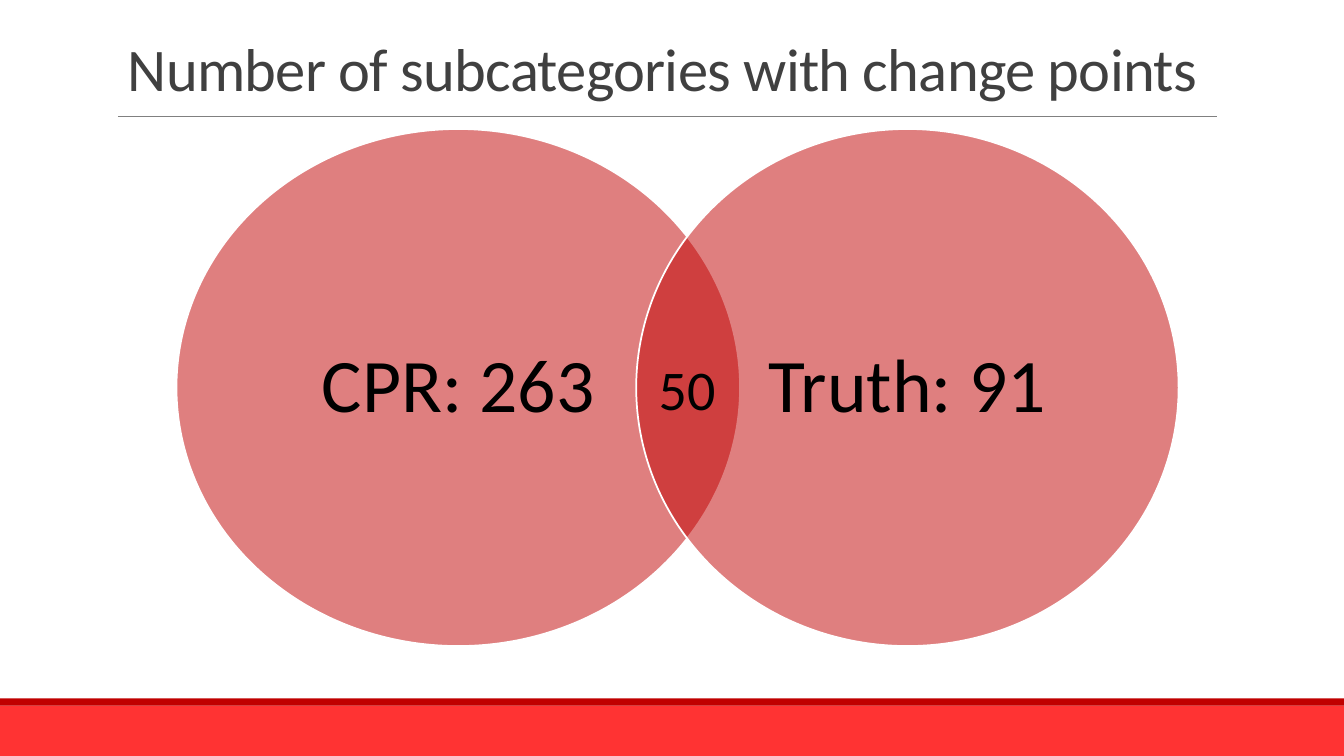
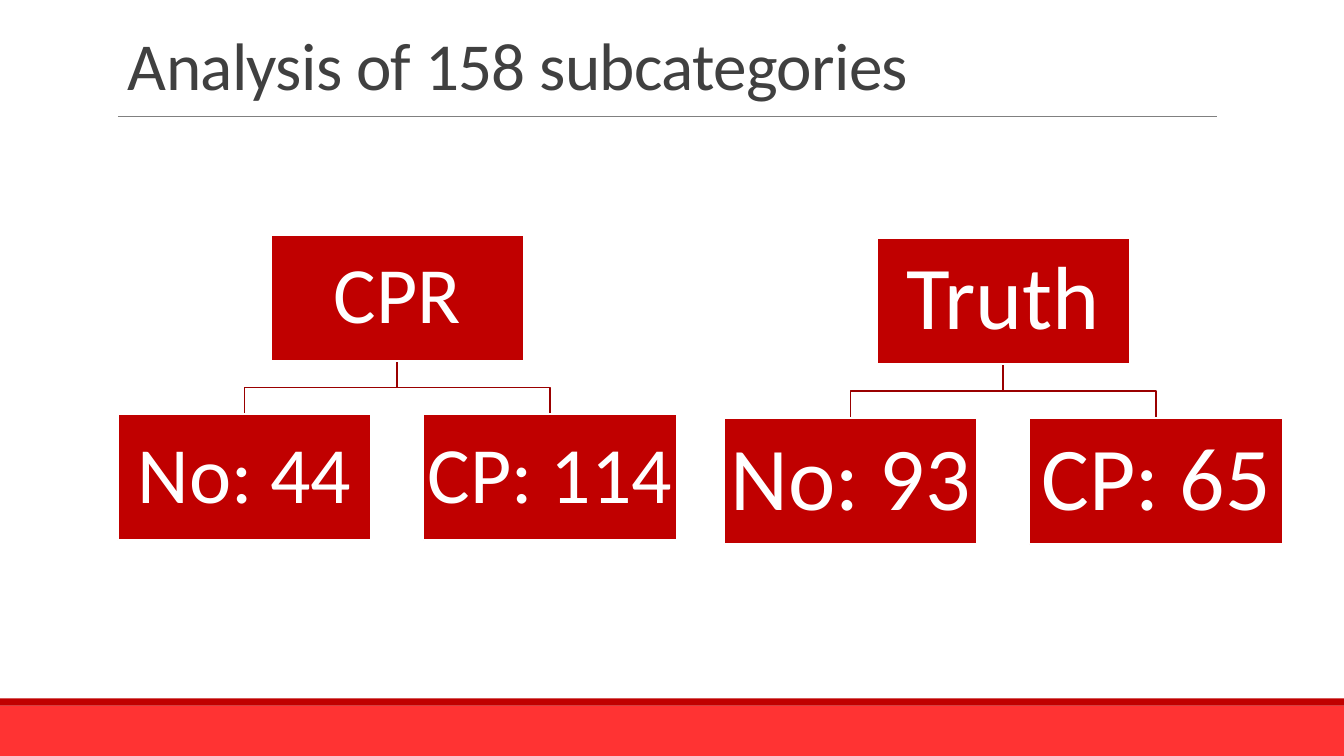
import pptx
import pptx.util
import pptx.dml.color
import pptx.enum.shapes
import pptx.enum.text
import pptx.oxml.ns
import lxml.etree

Inches = pptx.util.Inches
Pt = pptx.util.Pt
SHAPE = pptx.enum.shapes.MSO_SHAPE
ALIGN = pptx.enum.text.PP_ALIGN
ANCHOR = pptx.enum.text.MSO_ANCHOR
qn = pptx.oxml.ns.qn

FONT = "Calibri"
COLORS = {
    "red": "C00000",
    "bright": "FF3333",
    "branch": "9A0000",
    "rule": "808080",
    "title": "404040",
    "black": "000000",
    "white": "FFFFFF",
}
SLIDE_W, SLIDE_H = 13.33, 7.5
MARGIN, CONTENT_W = 1.17, 10.9


def rgb(name):
    """Return the named palette colour."""
    return pptx.dml.color.RGBColor.from_string(COLORS[name])


def set_line(s, color, width):
    """Give a shape or connector a solid line."""
    s.line.color.rgb = rgb(color)
    s.line.width = Pt(width)


def write(s, text, size, color, align=ALIGN.CENTER, anchor=ANCHOR.MIDDLE,
          insets=(0.1, 0.05), spacing=0.9, wrap=True):
    """Write one styled run into a shape and return the run."""
    tf = s.text_frame
    tf.word_wrap = wrap
    tf.vertical_anchor = anchor
    tf.margin_left = tf.margin_right = Inches(insets[0])
    tf.margin_top = tf.margin_bottom = Inches(insets[1])
    p = tf.paragraphs[0]
    p.alignment = align
    p.line_spacing = spacing
    r = p.add_run()
    r.text = text
    r.font.name = FONT
    r.font.size = Pt(size)
    r.font.color.rgb = rgb(color)
    return r


def add_block(s, kind, box, fill, outline=None, alpha=None):
    """Add a filled preset shape, optionally outlined or translucent."""
    sp = s.shapes.add_shape(kind, *map(Inches, box))
    sp.shadow.inherit = False
    sp.fill.solid()
    sp.fill.fore_color.rgb = rgb(fill)
    if outline:
        set_line(sp, outline, 1.25)
    else:
        sp.line.fill.background()
    if alpha is not None:
        clr = sp._element.spPr.find(qn("a:solidFill"))[0]
        lxml.etree.SubElement(clr, qn("a:alpha")).set("val", str(alpha * 1000))
    return sp


def add_base(prs, title, size):
    """Add a slide with its bottom bands, title and title rule."""
    s = prs.slides.add_slide(prs.slide_layouts[6])
    add_block(s, SHAPE.RECTANGLE, (0, 7, SLIDE_W, 0.5), "bright")
    add_block(s, SHAPE.RECTANGLE, (0, 6.93, SLIDE_W, 0.07), "red")
    rule = s.shapes.add_connector(
        pptx.enum.shapes.MSO_CONNECTOR.STRAIGHT,
        *map(Inches, (MARGIN, 1.15, MARGIN + CONTENT_W, 1.15)))
    set_line(rule, "rule", 0.5)
    lxml.etree.SubElement(rule._element.spPr, qn("a:effectLst"))
    tb = s.shapes.add_textbox(*map(Inches, (MARGIN, 0.06, CONTENT_W, 1.02)))
    r = write(tb, title, size, "title", ALIGN.LEFT, ANCHOR.BOTTOM, spacing=0.85)
    r._r.get_or_add_rPr().set("spc", "-50")
    return s


def add_venn(s, box, circles, shared):
    """Draw two overlapping sets filling the box and label the overlap."""
    left, top, width, height = box
    (left_text, left_w), (right_text, right_w) = circles
    right_x = left + width - right_w
    for text, x, w in ((left_text, left, left_w), (right_text, right_x, right_w)):
        sp = add_block(s, SHAPE.OVAL, (x, top, w, height), "red", "white", 50)
        write(sp, text, 54, "black", insets=(0.28, 0.07))
    label_w, label_h = 0.78, 0.77
    middle = (right_x + left + left_w) / 2
    tb = s.shapes.add_textbox(
        *map(Inches, (middle - label_w / 2, 3.47, label_w, label_h)))
    write(tb, shared, 40, "black", ALIGN.LEFT, ANCHOR.TOP, spacing=1)


def add_branch(s, start, end):
    """Draw a right-angled branch that turns halfway down."""
    (x1, y1), (x2, y2) = start, end
    turn = (y1 + y2) / 2
    points = [(x1, turn), (x2, turn), (x2, y2)]
    fb = s.shapes.build_freeform(Inches(x1), Inches(y1))
    fb.add_line_segments([(Inches(x), Inches(y)) for x, y in points], close=False)
    sp = fb.convert_to_shape()
    sp.shadow.inherit = False
    sp.fill.background()
    set_line(sp, "branch", 1.25)


def add_tree(s, box, root, leaves, size):
    """Draw a root over two leaves, spread across the box."""
    left, top, width, height = box
    node_w, node_h = 2.51, 1.25
    leaf_y = top + height - node_h
    root_x = left + (width - node_w) / 2
    leaf_xs = (left, left + width - node_w)
    for x in reversed(leaf_xs):
        add_branch(s, (root_x + node_w / 2, top + node_h),
                   (x + node_w / 2, leaf_y))
    nodes = [(root, root_x, top)]
    nodes += [(text, x, leaf_y) for text, x in zip(leaves, leaf_xs)]
    for text, x, y in nodes:
        sp = add_block(s, SHAPE.RECTANGLE, (x, y, node_w, node_h), "red", "white")
        write(sp, text, size, "white", insets=(0.04, 0.04), wrap=False)


def main():
    """Build and save the presentation."""
    prs = pptx.Presentation()
    prs.slide_width, prs.slide_height = Inches(SLIDE_W), Inches(SLIDE_H)

    s = add_base(prs, "Number of subcategories with change points", 43.2)
    add_venn(s, (1.75, 1.28, 9.94, 5.13),
             (("CPR: 263", 5.59), ("Truth: 91", 5.38)), "50")

    s = add_base(prs, "Analysis of 158 subcategories", 48)
    add_tree(s, (1.17, 2.33, 5.54, 3.03), "CPR", ("No: 44", "CP: 114"), 57)
    add_tree(s, (7.18, 2.36, 5.54, 3.04), "Truth", ("No: 93", "CP: 65"), 64)

    prs.save("out.pptx")


main()
